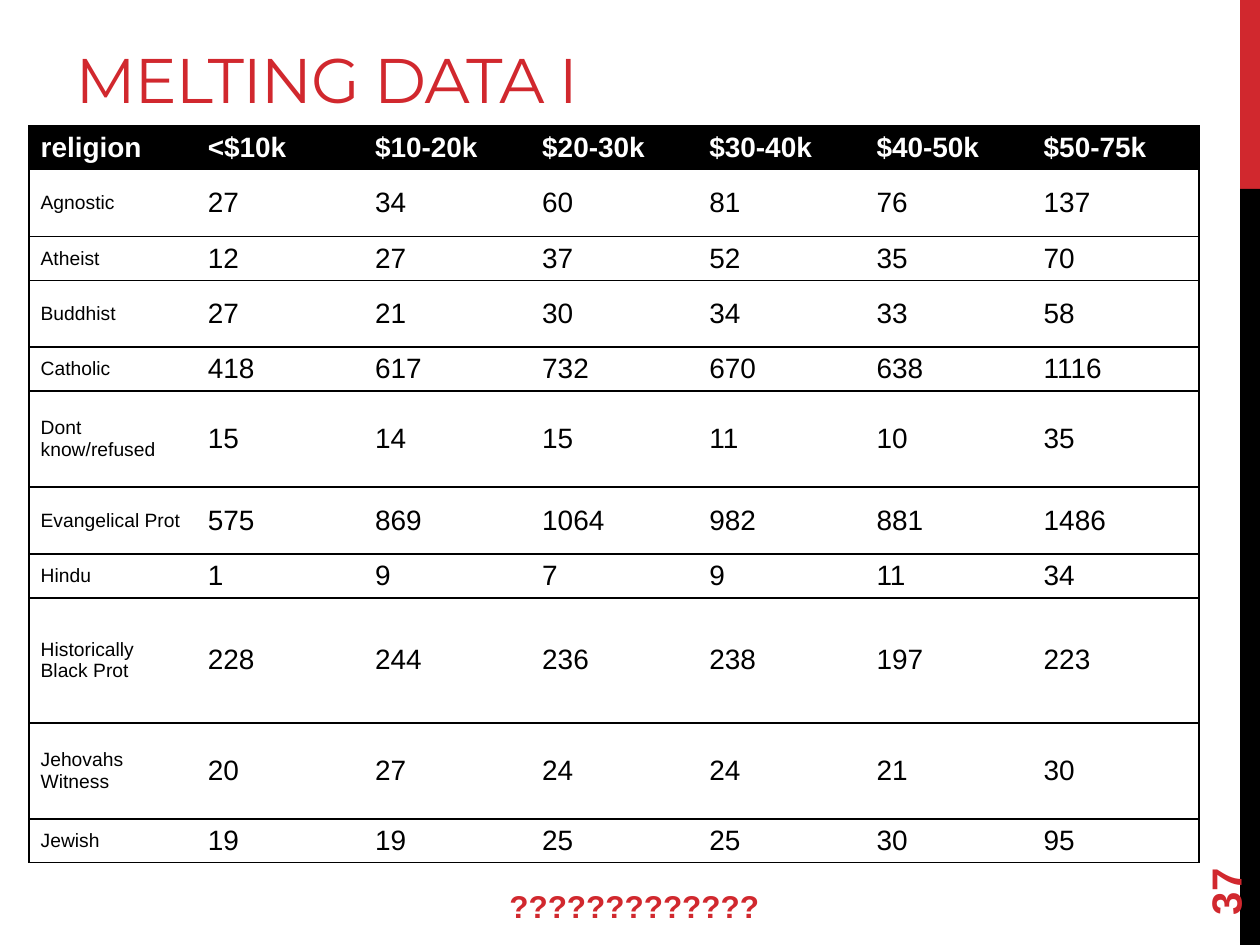
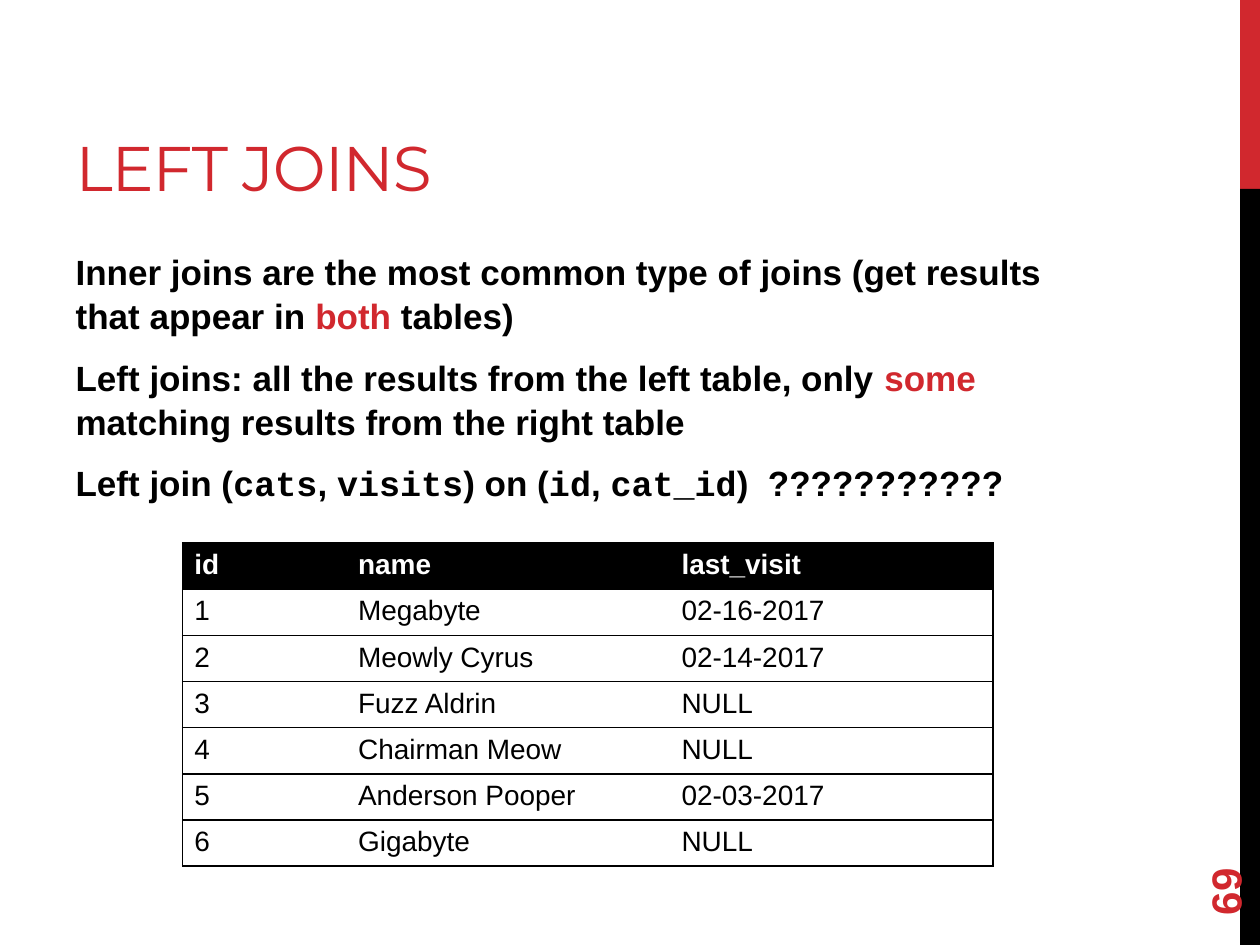
import pptx
import pptx.util
import pptx.dml.color
import pptx.enum.shapes
import pptx.enum.text
import pptx.oxml
import pptx.oxml.ns
from dataclasses import dataclass

Cm, Pt = pptx.util.Cm, pptx.util.Pt
Align = pptx.enum.text.PP_ALIGN
Anchor = pptx.enum.text.MSO_ANCHOR
PLAIN = "{2D5ABB26-0587-4C30-8999-92F81FD0307C}"  # table style without grid


@dataclass(frozen=True)
class Theme:
    red: str = "D1282E"
    black: str = "000000"
    white: str = "FFFFFF"
    sans: str = "Arial"
    mono: str = "Courier New"
    head: str = "Montserrat"
    title: int = 36
    page: int = 24
    body: int = 20
    note: int = 18
    cell: int = 16
    label: int = 11
    line: int = 1


class Deck:
    def __init__(self, theme):
        self.theme = theme
        self.file = pptx.Presentation()
        self.file.slide_width, self.file.slide_height = Cm(25.4), Cm(19.05)
        self.slide = None

    def start(self, layout, title, height, page):
        """Open a slide with its side bands, title and page number."""
        t = self.theme
        self.slide = self.file.slides.add_slide(self.file.slide_layouts[layout])
        self.band(0, 3.81, t.red)
        self.band(3.81, 15.24, t.black)
        frame = self.place(self.slide.shapes.title, 1.27, 0.43, 16.08, height)
        frame.vertical_anchor = Anchor.BOTTOM
        para = frame.paragraphs[0]
        para.alignment = Align.LEFT
        run = self.run(para, title, t.title, t.red, font=t.head)
        run.font._element.set("spc", "-60")
        self.text(page, 22.86, 16.36, 3.66, t.page, turn=270)

    def band(self, top, height, color):
        kind = pptx.enum.shapes.MSO_SHAPE.RECTANGLE
        band = self.slide.shapes.add_shape(kind, Cm(25), Cm(top), Cm(0.4), Cm(height))
        band.shadow.inherit = False
        band.fill.solid()
        band.fill.fore_color.rgb = self.rgb(color)
        band.line.fill.background()

    def place(self, shape, left, top, width, height):
        shape.left, shape.top = Cm(left), Cm(top)
        shape.width, shape.height = Cm(width), Cm(height)
        frame = shape.text_frame
        frame.word_wrap = True
        frame.auto_size = pptx.enum.text.MSO_AUTO_SIZE.NONE
        return frame

    def text(self, words, left, top, width, size, turn=0, align=Align.LEFT):
        """Add one bold red line."""
        box = self.slide.shapes.add_textbox(0, 0, 0, 0)
        frame = self.place(box, left, top, width, 1.02)
        box.rotation = turn
        frame.vertical_anchor = Anchor.MIDDLE
        frame.paragraphs[0].alignment = align
        self.run(frame.paragraphs[0], words, size, self.theme.red, bold=True)

    def body(self, paras, left, top, width, height):
        """Fill the body placeholder; a run is (words, colour, font)."""
        frame = self.place(self.slide.placeholders[1], left, top, width, height)
        for i, runs in enumerate(paras):
            para = frame.paragraphs[0] if i == 0 else frame.add_paragraph()
            props = para._p.get_or_add_pPr()
            props.set("marL", "0")
            props.set("indent", "0")
            props.append(pptx.oxml.parse_xml(
                f"<a:buNone {pptx.oxml.ns.nsdecls('a')}/>"))
            para.line_spacing = 1.05
            para.space_before = Pt(4 if i else 0)
            para.space_after = Pt(6)
            for words, color, font in runs:
                self.run(para, words, self.theme.body, color, True, font)

    def table(self, rows, left, top, widths, heights, label, pad, anchor):
        """Draw rows under a black header; label is the first column's size."""
        t = self.theme
        frame = self.slide.shapes.add_table(
            len(rows), len(widths), Cm(left), Cm(top),
            Cm(sum(widths)), Cm(sum(heights)))
        grid = frame.table
        frame.element.find(".//" + pptx.oxml.ns.qn("a:tableStyleId")).text = PLAIN
        for col, width in zip(grid.columns, widths):
            col.width = Cm(width)
        for row, height in zip(grid.rows, heights):
            row.height = Cm(height)
        for i, row in enumerate(rows):
            for j, words in enumerate(row):
                cell = grid.cell(i, j)
                cell.margin_left = cell.margin_right = Cm(0.24)
                cell.margin_top = cell.margin_bottom = Cm(pad)
                cell.vertical_anchor = anchor
                if i == 0:
                    cell.fill.solid()
                    cell.fill.fore_color.rgb = self.rgb(t.black)
                else:
                    cell.fill.background()
                sides = "L" * (j == 0) + "R" * (j == len(row) - 1) + "TB"
                self.edge(cell, sides)
                self.run(cell.text_frame.paragraphs[0], words,
                         label if i and j == 0 else t.cell,
                         t.black if i else t.white, bold=i == 0)

    def edge(self, cell, sides):
        props = cell._tc.get_or_add_tcPr()
        for i, side in enumerate(sides):
            props.insert(i, pptx.oxml.parse_xml(
                f'<a:ln{side} {pptx.oxml.ns.nsdecls("a")} w="{Pt(self.theme.line)}">'
                f'<a:solidFill><a:srgbClr val="{self.theme.black}"/></a:solidFill>'
                f'</a:ln{side}>'))

    def run(self, para, words, size, color, bold=False, font=None):
        run = para.add_run()
        run.text = words
        run.font.name = font or self.theme.sans
        run.font.size = Pt(size)
        run.font.bold = bold
        run.font.color.rgb = self.rgb(color)
        return run

    @staticmethod
    def rgb(color):
        return pptx.dml.color.RGBColor.from_string(color)


FAITHS = [
    ("religion", "<$10k", "$10-20k", "$20-30k", "$30-40k", "$40-50k", "$50-75k"),
    ("Agnostic", "27", "34", "60", "81", "76", "137"),
    ("Atheist", "12", "27", "37", "52", "35", "70"),
    ("Buddhist", "27", "21", "30", "34", "33", "58"),
    ("Catholic", "418", "617", "732", "670", "638", "1116"),
    ("Dont know/refused", "15", "14", "15", "11", "10", "35"),
    ("Evangelical Prot", "575", "869", "1064", "982", "881", "1486"),
    ("Hindu", "1", "9", "7", "9", "11", "34"),
    ("Historically Black Prot", "228", "244", "236", "238", "197", "223"),
    ("Jehovahs Witness", "20", "27", "24", "24", "21", "30"),
    ("Jewish", "19", "19", "25", "25", "30", "95"),
]
CATS = [
    ("id", "name", "last_visit"),
    ("1", "Megabyte", "02-16-2017"),
    ("2", "Meowly Cyrus", "02-14-2017"),
    ("3", "Fuzz Aldrin", "NULL"),
    ("4", "Chairman Meow", "NULL"),
    ("5", "Anderson Pooper", "02-03-2017"),
    ("6", "Gigabyte", "NULL"),
]


def melt(deck):
    t = deck.theme
    deck.start(5, "MELTING DATA I", 2.03, "37")
    low, mid, high, top = 0.88, 1.35, 1.94, 2.52
    heights = [low, mid, low, mid, low, high, mid, low, top, high, low]
    deck.table(FAITHS, 0.58, 2.54, [3.37] * 7, heights, t.label, 0.1, Anchor.MIDDLE)
    deck.text("?????????????", 8.23, 17.75, 9.12, t.note, align=Align.CENTER)


def join(deck):
    t = deck.theme

    def say(words):
        return words, t.black, t.sans

    def mark(words):
        return words, t.red, t.sans

    def code(words):
        return words, t.black, t.mono

    deck.start(1, "LEFT JOINS", 3.81, "69")
    deck.body([
        [say("Inner joins are the most common type of joins "
             "(get results that appear in "), mark("both"), say(" tables)")],
        [say("Left joins: all the results from the left table, only "),
         mark("some"), say(" matching results from the right table")],
        [say("Left join ("), code("cats"), say(", "), code("visits"),
         say(") on ("), code("id"), say(", "), code("cat_id"),
         say(")  ???????????")],
    ], 1.27, 4.88, 21.16, 12.14)
    deck.table(CATS, 3.68, 10.95, [3.3, 6.52, 6.52], [0.93] * len(CATS),
               t.cell, 0.13, Anchor.TOP)


def main():
    deck = Deck(Theme())
    melt(deck)
    join(deck)
    deck.file.save("out.pptx")


if __name__ == "__main__":
    main()
